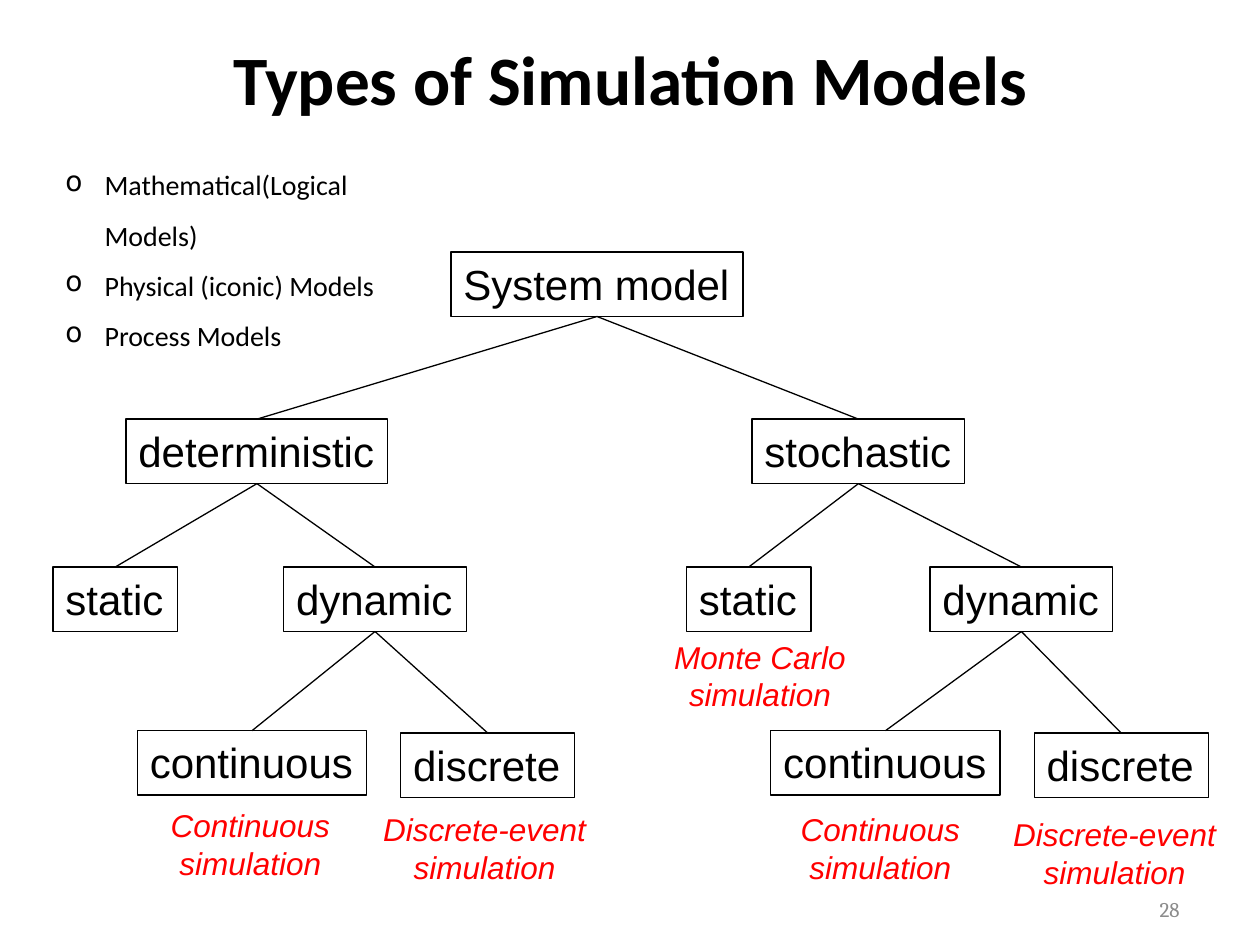
from lxml import etree
from pptx import Presentation
from pptx import util as u
from pptx.dml import color
from pptx.enum import shapes, text
from pptx.oxml import ns

COLORS = {"ink": "000000", "note": "FF0000", "number": "8C8C8C"}
FONTS = {
    "title": {"name": "Calibri", "size": u.Pt(39.6), "bold": True},
    "node": {"name": "Arial", "size": u.Pt(24)},
    "note": {"name": "Arial", "size": u.Pt(18), "italic": True},
    "kinds": {"name": "Calibri", "size": u.Pt(16)},
    "number": {"name": "Cambria", "size": u.Pt(12)},
}
NODE_HEIGHT = 1.3
LEFT, CENTER, RIGHT = text.PP_ALIGN.LEFT, text.PP_ALIGN.CENTER, text.PP_ALIGN.RIGHT
TOP, MIDDLE = text.MSO_ANCHOR.TOP, text.MSO_ANCHOR.MIDDLE
BRANCHES = [
    {
        "box": (1.07, 8.45),
        "nodes": {
            "deterministic": (1.47, 0, 5.28),
            "static": (0, 2.98, 2.51),
            "dynamic": (4.65, 2.98, 3.68),
            "continuous": (1.7, 6.28, 4.62),
            "discrete": (7.01, 6.33, 3.51),
        },
        "notes": {
            "Discrete-event": (6.4, 7.76, 4.6),
            "Continuous": (2.11, 7.68, 3.73),
        },
    },
    {
        "box": (13.84, 8.45),
        "nodes": {
            "stochastic": (1.32, 0, 4.29),
            "static": (0, 2.98, 2.51),
            "dynamic": (4.91, 2.98, 3.68),
            "continuous": (1.7, 6.28, 4.62),
            "discrete": (7.01, 6.33, 3.51),
        },
        "notes": {
            "Monte Carlo": (-0.5, 4.28, 3.96),
            "Discrete-event": (6.33, 7.86, 4.6),
            "Continuous": (2.04, 7.76, 3.73),
        },
    },
]


def set_values(target, values):
    """Set every attribute named in values on target."""
    for name, value in values.items():
        setattr(target, name, value)


def write(frame, lines, font, ink, align=LEFT, anchor=TOP, wrap=False):
    """Fill a text frame with one formatted paragraph per line."""
    set_values(frame, {"text": "\n".join(lines), "word_wrap": wrap, "vertical_anchor": anchor})
    for paragraph in frame.paragraphs:
        paragraph.alignment = align
        for run in paragraph.runs:
            set_values(run.font, FONTS[font])
            run.font.color.rgb = color.RGBColor.from_string(COLORS[ink])


def add_text(slide, box, lines, font, ink, **layout):
    """Add a text box and return its frame."""
    frame = slide.shapes.add_textbox(*map(u.Cm, box)).text_frame
    write(frame, lines, font, ink, **layout)
    return frame


def draw_line(line):
    """Give an outline the thin ink stroke of the tree."""
    line.width = u.Pt(0.75)
    line.color.rgb = color.RGBColor.from_string(COLORS["ink"])


def add_node(slide, box, label):
    """Add one outlined node of the tree."""
    node = slide.shapes.add_shape(shapes.MSO_SHAPE.RECTANGLE, *map(u.Cm, box))
    node.shadow.inherit = False
    node.fill.background()
    draw_line(node.line)
    write(node.text_frame, [label], "node", "ink")
    return node


def join(slide, parent, child):
    """Connect the bottom of parent to the top of child."""
    edge = slide.shapes.add_connector(shapes.MSO_CONNECTOR.STRAIGHT, 0, 0, 0, 0)
    edge.begin_connect(parent, 2)
    edge.end_connect(child, 0)
    draw_line(edge.line)
    etree.SubElement(edge.element.spPr, ns.qn("a:effectLst"))


def add_branch(slide, box, nodes, notes):
    """Build one half of the tree from its top-left corner and return its head."""
    left, top = box
    head, static, dynamic, continuous, discrete = [
        add_node(slide, (left + x, top + y, width, NODE_HEIGHT), label)
        for label, (x, y, width) in nodes.items()
    ]
    for parent, child in (
        (head, static), (head, dynamic), (dynamic, continuous), (dynamic, discrete),
    ):
        join(slide, parent, child)
    for method, (x, y, width) in notes.items():
        add_text(slide, (left + x, top + y, width, 1.78), [method, "simulation"],
                 "note", "note", align=CENTER)
    return head


def add_tree(slide, box):
    """Build the system model tree with its two branches."""
    root = add_node(slide, box, "System model")
    for branch in BRANCHES:
        join(slide, root, add_branch(slide, **branch))


def add_title(slide, box):
    """Place and format the title placeholder."""
    title = slide.shapes.title
    set_values(title, dict(zip(("left", "top", "width", "height"), map(u.Cm, box))))
    write(title.text_frame, ["Types of Simulation Models"], "title", "ink",
          align=CENTER, anchor=MIDDLE, wrap=True)


def add_kinds(slide, box):
    """Add the bulleted list of model kinds."""
    kinds = ["Mathematical(Logical Models)", "Physical (iconic) Models", "Process Models"]
    frame = add_text(slide, box, kinds, "kinds", "ink",
                     align=text.PP_ALIGN.JUSTIFY, wrap=True)
    indent = u.Cm(0.79)
    for paragraph in frame.paragraphs:
        paragraph.line_spacing = 1.5
        properties = paragraph._p.get_or_add_pPr()
        properties.set("marL", str(indent))
        properties.set("indent", str(-indent))
        etree.SubElement(properties, ns.qn("a:buChar")).set("char", "o")


def main():
    """Build and save the slide."""
    deck = Presentation()
    set_values(deck, {"slide_width": u.Cm(25.4), "slide_height": u.Cm(19.05)})
    slide = deck.slides.add_slide(deck.slide_layouts[5])
    add_title(slide, (1.91, 0.84, 21.59, 1.47))
    add_tree(slide, (9.09, 5.08, 5.89, NODE_HEIGHT))
    add_kinds(slide, (1.07, 2.92, 7.19, 4.37))
    add_text(slide, (18.75, 17.7, 5.28, 1.27), ["28"], "number", "number",
             align=RIGHT, anchor=MIDDLE, wrap=True)
    deck.save("out.pptx")


if __name__ == "__main__":
    main()
